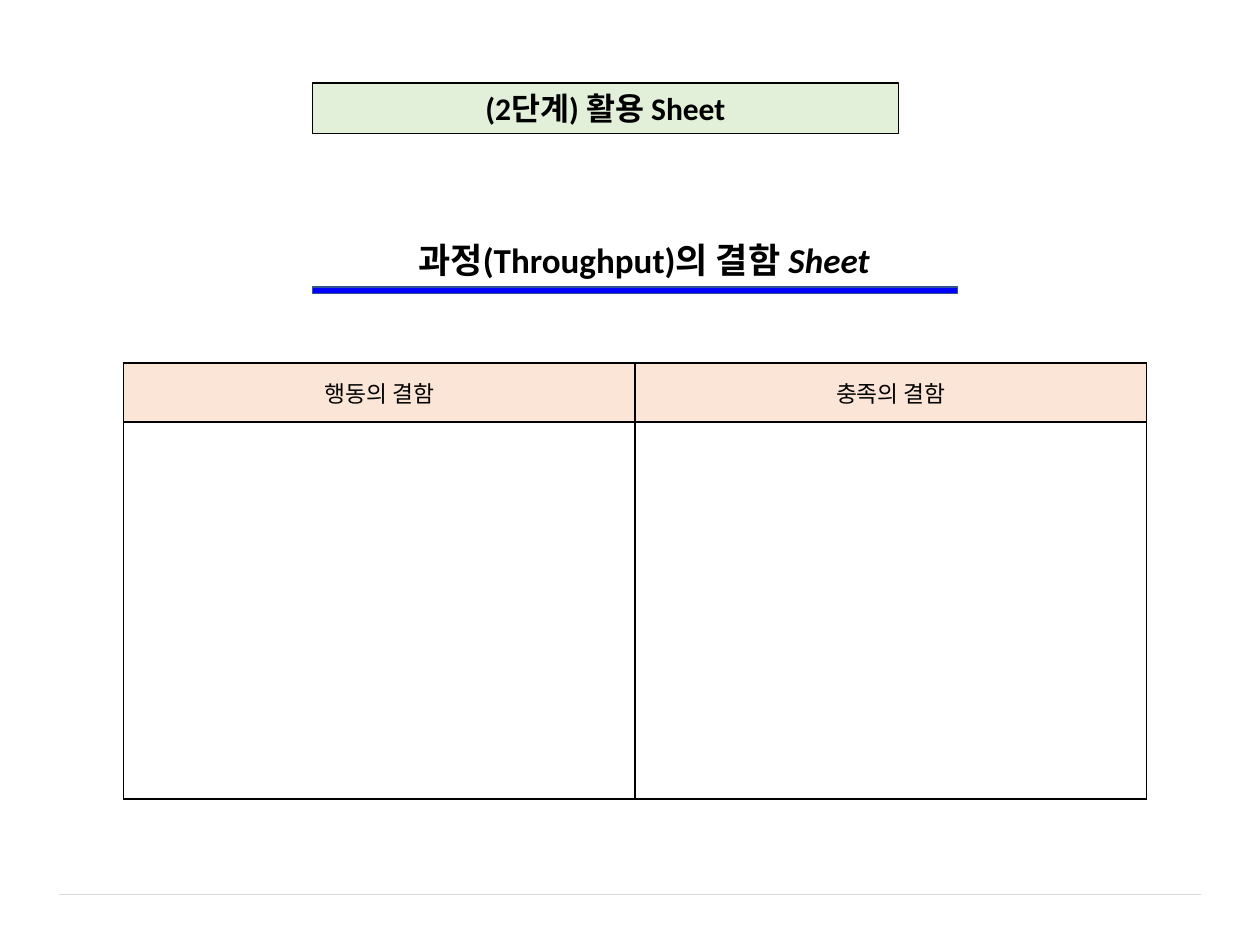
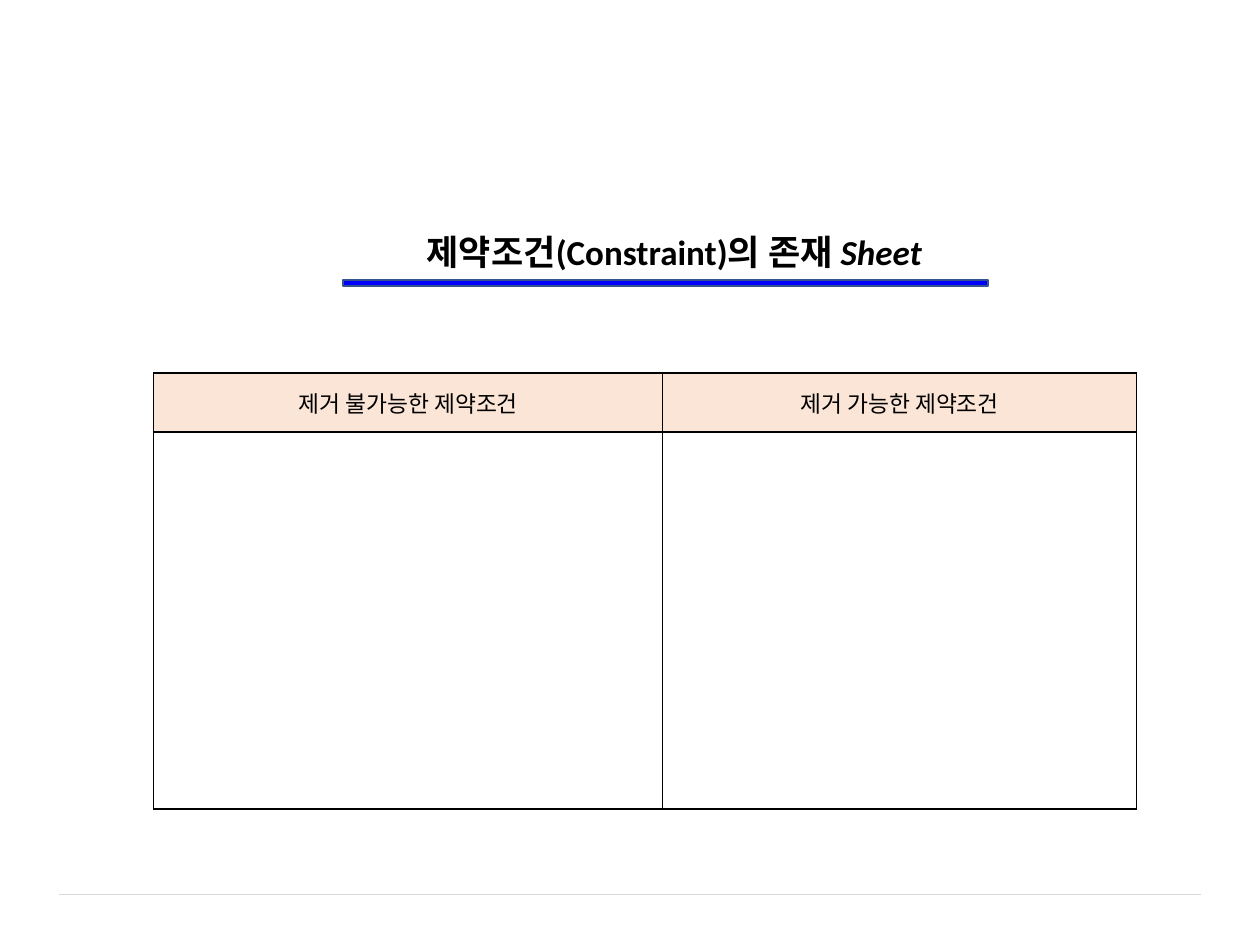
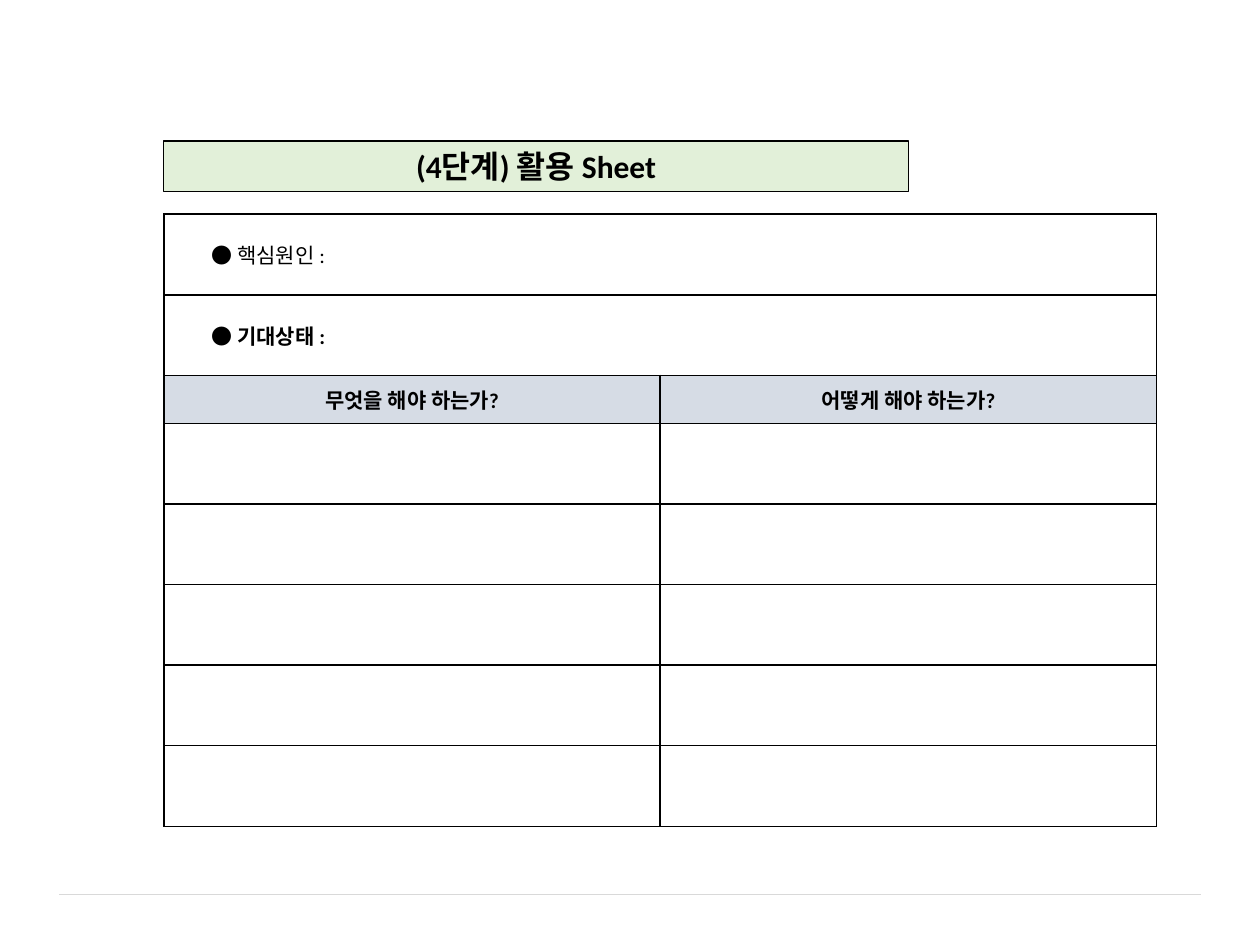
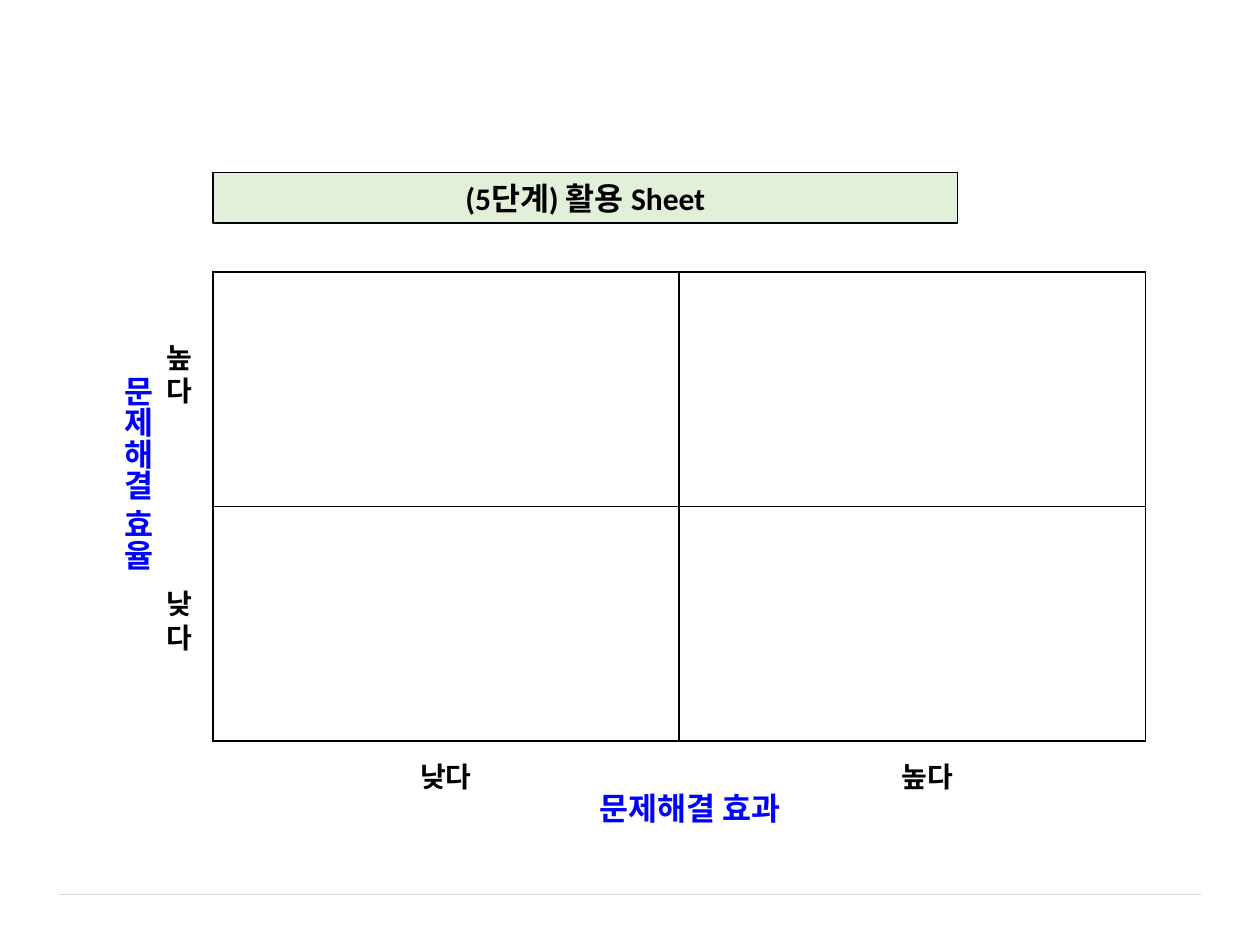
from dataclasses import dataclass

from lxml import etree
from pptx import Presentation
from pptx.dml.color import RGBColor
from pptx.enum.shapes import MSO_CONNECTOR as Conn, MSO_SHAPE as Shape
from pptx.enum.text import MSO_ANCHOR as Anchor, MSO_AUTO_SIZE as AutoSize, PP_ALIGN as Align
from pptx.oxml.ns import qn
from pptx.util import Inches, Pt


@dataclass(frozen=True)
class Theme:
    font: str = "Calibri"
    ink: str = "000000"
    blue: str = "0000FF"
    blue_edge: str = "325491"
    green: str = "E2F0D9"
    peach: str = "FBE5D6"
    slate: str = "D6DCE5"
    rule: str = "D9D9D9"
    heading_size: int = 20
    banner_size: int = 18
    label_size: int = 16
    head_size: int = 13
    cell_size: int = 12


THEME = Theme()
TITLE_ONLY = 5


def rgb(code):
    return RGBColor.from_string(code)


def write(p, text, size, color=THEME.ink, bold=False, italic=False, align=Align.CENTER):
    """Add one formatted run to a paragraph."""
    p.alignment = align
    r = p.add_run()
    r.text = text
    f = r.font
    f.name, f.size, f.bold, f.italic = THEME.font, Pt(size), bold, italic
    f.color.rgb = rgb(color)


def outline(line, color, width):
    line.color.rgb = rgb(color)
    line.width = Pt(width)


def border(cell, color, width=1):
    tc_pr = cell._tc.get_or_add_tcPr()
    for side in ("a:lnL", "a:lnR", "a:lnT", "a:lnB"):
        ln = etree.SubElement(tc_pr, qn(side), w=str(Pt(width)))
        fill = etree.SubElement(ln, qn("a:solidFill"))
        etree.SubElement(fill, qn("a:srgbClr"), val=color)


class Deck:
    def __init__(self, theme):
        self.theme = theme
        self.prs = Presentation()
        self.prs.slide_width, self.prs.slide_height = Inches(10), Inches(7.5)
        self.s = None
        self.title_used = False

    def new_slide(self):
        self.s = self.prs.slides.add_slide(self.prs.slide_layouts[TITLE_ONLY])
        self.title_used = False

    def footer_rule(self):
        """Draw the footer line and move it to the master, so every slide shows it."""
        line = self.s.shapes.add_connector(
            Conn.STRAIGHT, Inches(0.47), Inches(7.1), Inches(9.53), Inches(7.1))
        outline(line.line, self.theme.rule, 0.5)
        etree.SubElement(line._element.spPr, qn("a:effectLst"))
        self.prs.slide_master.shapes._spTree.append(line._element)

    def text_box(self, x, y, w, h):
        """Return the slide's title, or a new text box once the title is in use."""
        box = [Inches(n) for n in (x, y, w, h)]
        if self.title_used:
            sp = self.s.shapes.add_textbox(*box)
        else:
            sp = self.s.shapes.title
            sp.left, sp.top, sp.width, sp.height = box
            self.title_used = True
        tf = sp.text_frame
        tf.word_wrap, tf.auto_size, tf.vertical_anchor = True, AutoSize.NONE, Anchor.TOP
        return sp

    def banner(self, x, y, w, step):
        sp = self.text_box(x, y, w, 0.4)
        sp.fill.solid()
        sp.fill.fore_color.rgb = rgb(self.theme.green)
        outline(sp.line, self.theme.ink, 0.75)
        write(sp.text_frame.paragraphs[0], f"({step}단계) 활용 Sheet",
              self.theme.banner_size, bold=True)

    def heading(self, x, y, text):
        """Sheet heading with the blue bar under it."""
        p = self.text_box(x, y, 5.2, 0.44).text_frame.paragraphs[0]
        write(p, f" {text} ", self.theme.heading_size, bold=True)
        write(p, "Sheet", self.theme.heading_size, bold=True, italic=True)
        bar = self.s.shapes.add_shape(
            Shape.RECTANGLE, Inches(x), Inches(y + 0.44), Inches(5.12), Inches(0.05))
        bar.shadow.inherit = False
        bar.fill.solid()
        bar.fill.fore_color.rgb = rgb(self.theme.blue)
        outline(bar.line, self.theme.blue_edge, 1)

    def label(self, x, y, w, h, text, vertical=False, **fmt):
        tf = self.text_box(x, y, w, h).text_frame
        if vertical:
            tf._txBody.bodyPr.set("vert", "eaVert")
        write(tf.paragraphs[0], text, bold=True, **fmt)

    def table(self, x, y, cols, rows):
        """Add a bordered, unfilled table with the given column widths and row heights."""
        table = self.s.shapes.add_table(
            len(rows), len(cols), Inches(x), Inches(y),
            Inches(sum(cols)), Inches(sum(rows))).table
        table.first_row = table.horz_banding = False
        for col, w in zip(table.columns, cols):
            col.width = Inches(w)
        for row, h in zip(table.rows, rows):
            row.height = Inches(h)
        for cell in table.iter_cells():
            border(cell, self.theme.ink)
            cell.fill.background()
        return table

    def cell(self, cell, text, size, fill=None, **fmt):
        cell.vertical_anchor = Anchor.MIDDLE
        if fill:
            cell.fill.solid()
            cell.fill.fore_color.rgb = rgb(fill)
        write(cell.text_frame.paragraphs[0], text, size, **fmt)

    def two_column_sheet(self, x, y, cols, heads):
        table = self.table(x, y, cols, [0.47, 2.99])
        for i, head in enumerate(heads):
            self.cell(table.cell(0, i), head, self.theme.head_size, self.theme.peach)


def defects_slide(deck):
    deck.new_slide()
    deck.footer_rule()
    deck.banner(2.48, 0.66, 4.65, 2)
    deck.heading(2.48, 1.84, "과정(Throughput)의 결함")
    deck.two_column_sheet(0.98, 2.88, [4.06, 4.06], ["행동의 결함", "충족의 결함"])


def constraints_slide(deck):
    deck.new_slide()
    deck.heading(2.72, 1.78, "제약조건(Constraint)의 존재")
    deck.two_column_sheet(1.22, 2.96, [4.04, 3.76],
                          ["제거 불가능한 제약조건", "제거 가능한 제약조건"])


def action_slide(deck):
    size = deck.theme.cell_size
    deck.new_slide()
    deck.banner(1.3, 1.12, 5.91, 4)
    table = deck.table(1.3, 1.7, [3.94, 3.94], [0.64] * 2 + [0.38] + [0.64] * 5)
    for i, (text, bold) in enumerate([("● 핵심원인 :", False), ("● 기대상태 :", True)]):
        cell = table.cell(i, 0)
        cell.merge(table.cell(i, 1))
        cell.margin_left = Inches(0.38)
        deck.cell(cell, text, size, bold=bold, align=Align.LEFT)
    for i, text in enumerate(["무엇을 해야 하는가?", "어떻게 해야 하는가?"]):
        deck.cell(table.cell(2, i), text, size, deck.theme.slate, bold=True)


def priority_slide(deck):
    theme = deck.theme
    deck.new_slide()
    deck.banner(1.69, 1.37, 5.91, 5)
    deck.table(1.69, 2.16, [3.7, 3.7], [1.86, 1.86])
    axis = dict(size=theme.banner_size, color=theme.blue)
    deck.label(4.53, 6.21, 1.89, 0.4, "문제해결 효과", **axis)
    deck.label(0.79, 2.88, 0.5, 1.98, "문제해결 효율", vertical=True, **axis)
    for text, y, x in [("높다", 2.65, 6.89), ("낮다", 4.61, 3.07)]:
        deck.label(1.22, y, 0.47, 0.64, text, size=theme.label_size, align=Align.LEFT)
        deck.label(x, 5.98, 0.94, 0.37, text, size=theme.label_size)


def main():
    deck = Deck(THEME)
    for build in (defects_slide, constraints_slide, action_slide, priority_slide):
        build(deck)
    deck.prs.save("out.pptx")


if __name__ == "__main__":
    main()
